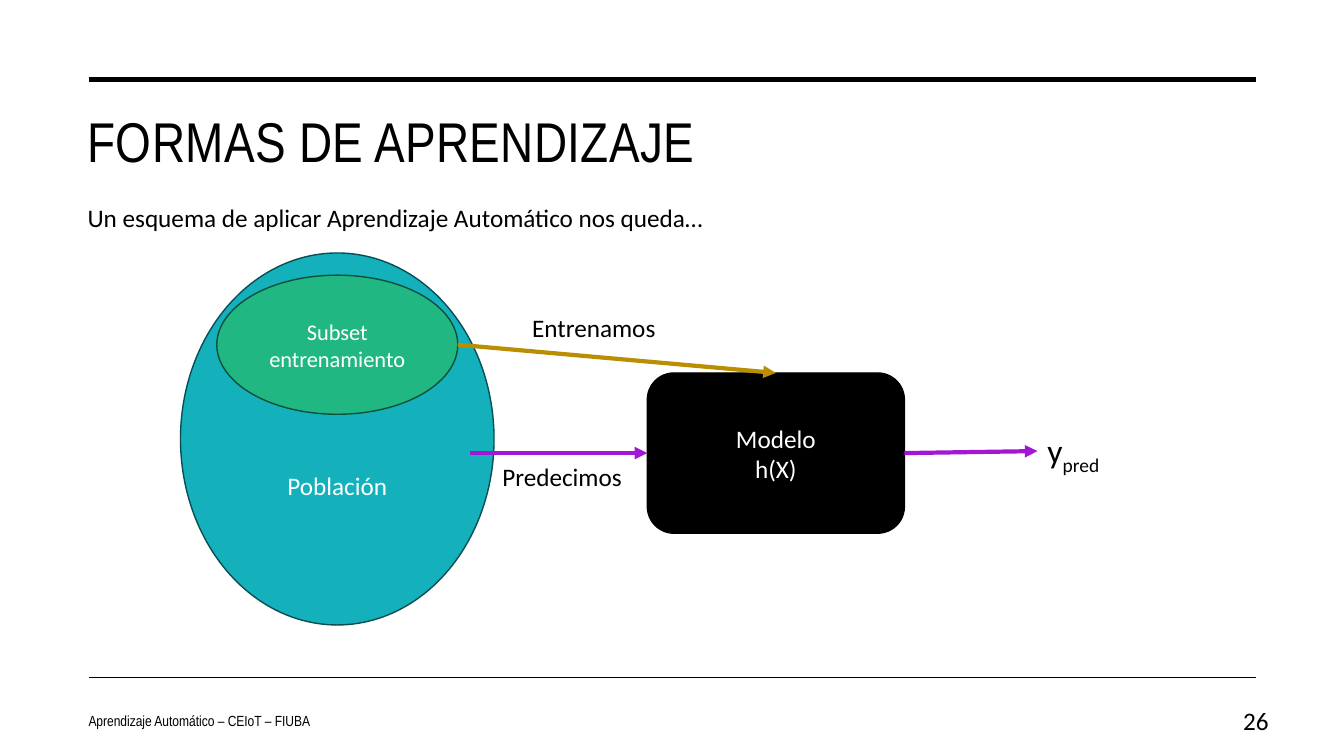
from dataclasses import dataclass

from lxml import etree
from pptx import Presentation
from pptx.dml.color import RGBColor
from pptx.enum.shapes import MSO_CONNECTOR, MSO_SHAPE
from pptx.enum.text import MSO_ANCHOR, PP_ALIGN
from pptx.oxml.ns import qn
from pptx.util import Inches, Pt

LEFT, CENTER, RIGHT = PP_ALIGN.LEFT, PP_ALIGN.CENTER, PP_ALIGN.RIGHT
TOP, MIDDLE = MSO_ANCHOR.TOP, MSO_ANCHOR.MIDDLE
STRAIGHT = MSO_CONNECTOR.STRAIGHT
OVAL, ROUNDED = MSO_SHAPE.OVAL, MSO_SHAPE.ROUNDED_RECTANGLE


@dataclass(frozen=True)
class Theme:
    heading: str = "Arial Narrow"
    body: str = "Calibri"
    black: str = "000000"
    white: str = "FFFFFF"
    population: str = "14B1BC"
    population_edge: str = "094E52"
    subset: str = "21B782"
    subset_edge: str = "0E5039"
    train: str = "BA8E00"
    predict: str = "A217D5"
    title_size: float = 40
    output_size: float = 24
    text_size: float = 18
    subset_size: float = 16
    footer_size: float = 10.5


T = Theme()


def write(tf, lines, size=T.text_size, color=T.black, font=T.body,
          align=LEFT, anchor=TOP, wrap=True):
    """Fill a text frame with equally styled paragraphs."""
    tf.word_wrap = wrap
    tf.vertical_anchor = anchor
    for i, line in enumerate(lines):
        p = tf.add_paragraph() if i else tf.paragraphs[0]
        p.alignment = align
        p.font.size = Pt(size)
        p.font.name = font
        p.font.color.rgb = RGBColor.from_string(color)
        p.add_run().text = line
    return tf.paragraphs[0]


def add_text(s, box, text, **style):
    tb = s.shapes.add_textbox(*map(Inches, box))
    return write(tb.text_frame, [text], **style)


def add_node(s, kind, box, fill, edge, lines, size=T.text_size):
    sp = s.shapes.add_shape(kind, *map(Inches, box))
    sp.shadow.inherit = False
    sp.fill.solid()
    sp.fill.fore_color.rgb = RGBColor.from_string(fill)
    sp.line.color.rgb = RGBColor.from_string(edge)
    sp.line.width = Pt(1)
    write(sp.text_frame, lines, size, T.white, align=CENTER, anchor=MIDDLE)
    return sp


def add_line(s, start, end, color, width, arrow=False):
    ln = s.shapes.add_connector(STRAIGHT, *map(Inches, (*start, *end)))
    ln.line.color.rgb = RGBColor.from_string(color)
    ln.line.width = Pt(width)
    if arrow:
        etree.SubElement(ln.line._get_or_add_ln(), qn("a:tailEnd"), type="triangle")
    etree.SubElement(ln._element.spPr, qn("a:effectLst"))


def add_header(s, box):
    """Top rule, title and introductory sentence."""
    x, y, w, h = box
    add_line(s, (x + 0.11, y), (x + w, y), T.black, 3.5)
    p = add_text(s, (x, y + 0.22, w, 0.9), "FORMAS DE APRENDIZAJE",
                 size=T.title_size, font=T.heading)
    p.runs[0]._r.get_or_add_rPr().set("spc", "30")
    p = add_text(s, (x, y + 1.14, w, h - 1.14),
                 "Un esquema de aplicar Aprendizaje Automático nos queda…")
    p.line_spacing = 1.1


def add_diagram(s, box):
    """Population and training subset feeding the model."""
    x, y, w, h = box
    subset = (x + 0.36, y + 0.22, 2.39, 1.38)
    model = (x + 4.63, y + 1.19, 2.55, 1.59)
    subset_right = subset[0] + subset[2]
    model_right = model[0] + model[2]
    mid_y = model[1] + model[3] / 2

    # Nodes
    population = add_node(s, OVAL, (x, y, 3.11, h), T.population,
                          T.population_edge, ["Población"])
    population.text_frame.margin_top = Inches(0.97)
    add_node(s, OVAL, subset, T.subset, T.subset_edge,
             ["Subset entrenamiento"], T.subset_size)
    add_node(s, ROUNDED, model, T.black, T.black, ["Modelo", "h(X)"])

    # Arrows
    add_line(s, (subset_right, subset[1] + subset[3] / 2),
             (model[0] + model[2] / 2, model[1]), T.train, 3, arrow=True)
    add_line(s, (x + 2.87, mid_y), (model[0], mid_y), T.predict, 3, arrow=True)
    add_line(s, (model_right, mid_y), (x + w - 0.8, mid_y - 0.02),
             T.predict, 3, arrow=True)

    # Labels
    add_text(s, (x + 3.39, y + 0.54, 1.5, 0.4), "Entrenamos", wrap=False)
    add_text(s, (x + 3.06, y + 2.02, 1.45, 0.4), "Predecimos",
             align=CENTER, wrap=False)
    p = add_text(s, (x + w - 0.8, y + 1.71, 0.8, 0.5), "y",
                 size=T.output_size, wrap=False)
    r = p.add_run()
    r.text = "pred"
    r._r.get_or_add_rPr().set("baseline", "-25000")


def add_footer(s, box):
    """Bottom rule, course name and slide number."""
    x, y, w, h = box
    add_line(s, (x + 0.11, y), (x + w - 0.22, y), T.black, 1)
    add_text(s, (x + 0.01, y + 0.23, 4.96, h - 0.23),
             "Aprendizaje Automático – CEIoT – FIUBA",
             size=T.footer_size, font=T.heading, anchor=MIDDLE)
    add_text(s, (x + w - 0.74, y + 0.23, 0.74, h - 0.23), "26",
             align=RIGHT, anchor=MIDDLE)


def main():
    prs = Presentation()
    prs.slide_width, prs.slide_height = Inches(13.33), Inches(7.5)
    s = prs.slides.add_slide(prs.slide_layouts[6])
    add_header(s, (0.77, 0.79, 11.69, 1.6))
    add_diagram(s, (1.79, 2.51, 9.3, 3.69))
    add_footer(s, (0.77, 6.72, 11.91, 0.63))
    prs.save("out.pptx")


if __name__ == "__main__":
    main()
